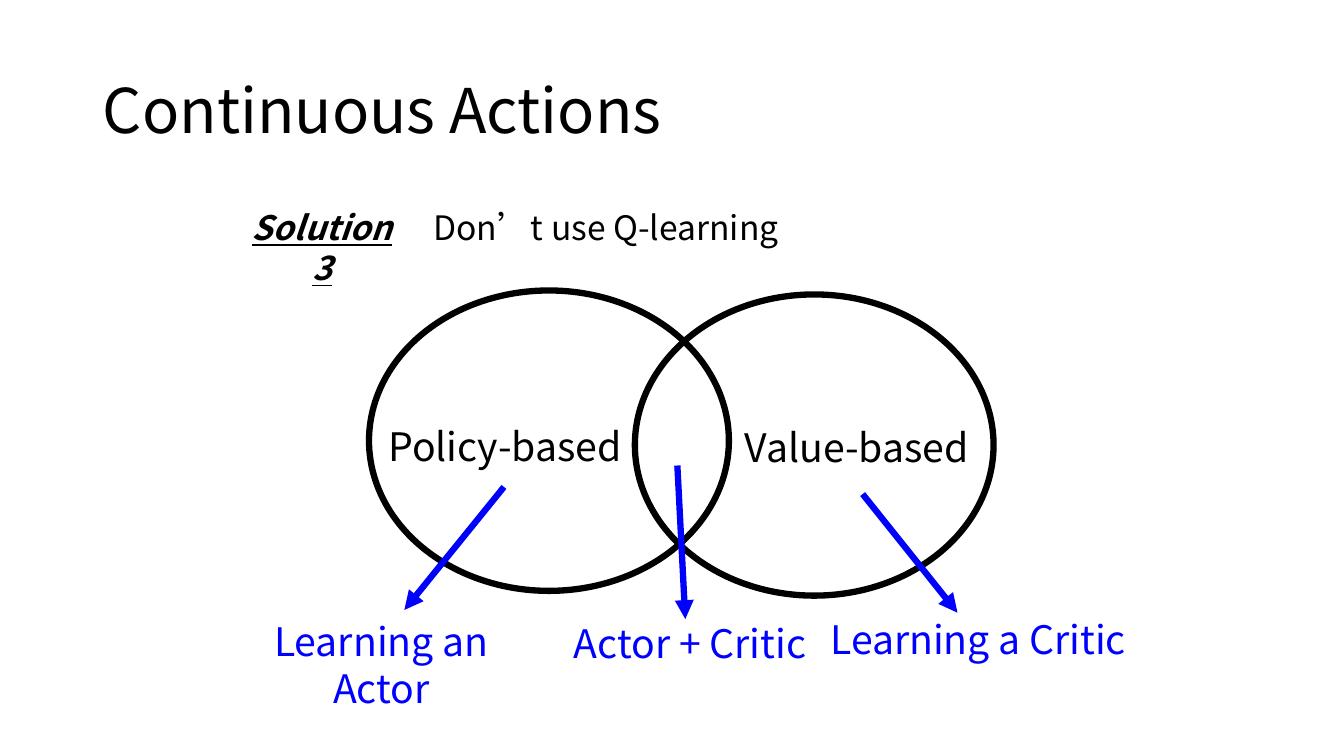
from lxml import etree
from pptx import Presentation
from pptx.dml.color import RGBColor
from pptx.enum.shapes import MSO_CONNECTOR, MSO_SHAPE
from pptx.enum.text import MSO_ANCHOR, MSO_AUTO_SIZE, PP_ALIGN
from pptx.oxml.ns import qn
from pptx.util import Cm, Pt

LEFT, CENTER = PP_ALIGN.LEFT, PP_ALIGN.CENTER
MIDDLE = MSO_ANCHOR.MIDDLE
NO_FIT = MSO_AUTO_SIZE.NONE
OVAL = MSO_SHAPE.OVAL
STRAIGHT = MSO_CONNECTOR.STRAIGHT
TITLE_ONLY = 5


def color(hex_value):
    return RGBColor.from_string(hex_value)


class Deck:
    font = "Noto Sans CJK SC"
    ink = "000000"
    accent = "0000FF"
    stroke = Pt(4.5)

    def __init__(self):
        self.presentation = Presentation()
        self.presentation.slide_width = Cm(33.87)
        self.presentation.slide_height = Cm(19.05)
        layout = self.presentation.slide_layouts[TITLE_ONLY]
        self.slide = self.presentation.slides.add_slide(layout)

    def add_words(self, paragraph, words, size, ink, emphasis=False):
        run = paragraph.add_run()
        run.text = words
        run.font.name = self.font
        run.font.size = Pt(size)
        run.font.color.rgb = color(ink)
        if emphasis:
            run.font.bold = run.font.italic = run.font.underline = True
        # East Asian typeface, also used for the curly apostrophe
        latin = run._r.rPr.find(qn("a:latin"))
        east_asian = etree.Element(qn("a:ea"), typeface=self.font)
        latin.addnext(east_asian)

    def title(self, words, left, top, width, height):
        heading = self.slide.shapes.title
        heading.left, heading.top = Cm(left), Cm(top)
        heading.width, heading.height = Cm(width), Cm(height)
        frame = heading.text_frame
        frame.auto_size = NO_FIT
        frame.vertical_anchor = MIDDLE
        paragraph = frame.paragraphs[0]
        paragraph.alignment = LEFT
        paragraph.line_spacing = 0.9
        self.add_words(paragraph, words, 44, self.ink)

    def label(self, words, left, top, width, height=1.45, size=28,
              ink=ink, align=CENTER, emphasis=False):
        box = self.slide.shapes.add_textbox(
            Cm(left), Cm(top), Cm(width), Cm(height))
        box.text_frame.word_wrap = True
        paragraph = box.text_frame.paragraphs[0]
        paragraph.alignment = align
        self.add_words(paragraph, words, size, ink, emphasis)

    def ring(self, left, top, width, height):
        oval = self.slide.shapes.add_shape(
            OVAL, Cm(left), Cm(top), Cm(width), Cm(height))
        oval.shadow.inherit = False
        oval.fill.background()
        oval.line.color.rgb = color(self.ink)
        oval.line.width = self.stroke

    def arrow(self, x1, y1, x2, y2):
        connector = self.slide.shapes.add_connector(
            STRAIGHT, Cm(x1), Cm(y1), Cm(x2), Cm(y2))
        connector.line.color.rgb = color(self.accent)
        connector.line.width = self.stroke
        properties = connector._element.spPr
        etree.SubElement(properties.find(qn("a:ln")), qn("a:tailEnd"),
                         type="triangle")
        etree.SubElement(properties, qn("a:effectLst"))


def main():
    deck = Deck()

    # Heading and proposed solution
    deck.title("Continuous Actions", 2.34, 1.02, 29.21, 3.68)
    deck.label("Solution 3", 5.97, 5.08, 4.29, 2.31, size=24, emphasis=True)
    deck.label("Don’t use Q-learning", 10.67, 5.08, 16.99, 1.27, size=24,
               align=LEFT)

    # Overlapping families of methods
    deck.ring(9.3, 7.32, 9.07, 7.57)
    deck.ring(16, 7.42, 9.04, 7.59)
    deck.label("Policy-based", 9.3, 10.52, 6.86)
    deck.label("Value-based", 18.16, 10.54, 6.86)

    # What each region learns: caption box, then its arrow
    outcomes = [
        ("Learning an Actor", (5.56, 15.44, 8.1), (12.7, 12.27, 10.19, 15.37)),
        ("Learning a Critic", (20.37, 15.39, 8.56), (21.74, 12.45, 24.13, 15.44)),
        ("Actor + Critic", (13.82, 15.47, 7.14), (17.07, 11.73, 17.27, 15.6)),
    ]
    for caption, place, pointer in outcomes:
        deck.label(caption, *place, ink=deck.accent)
        deck.arrow(*pointer)

    deck.presentation.save("out.pptx")


if __name__ == "__main__":
    main()
